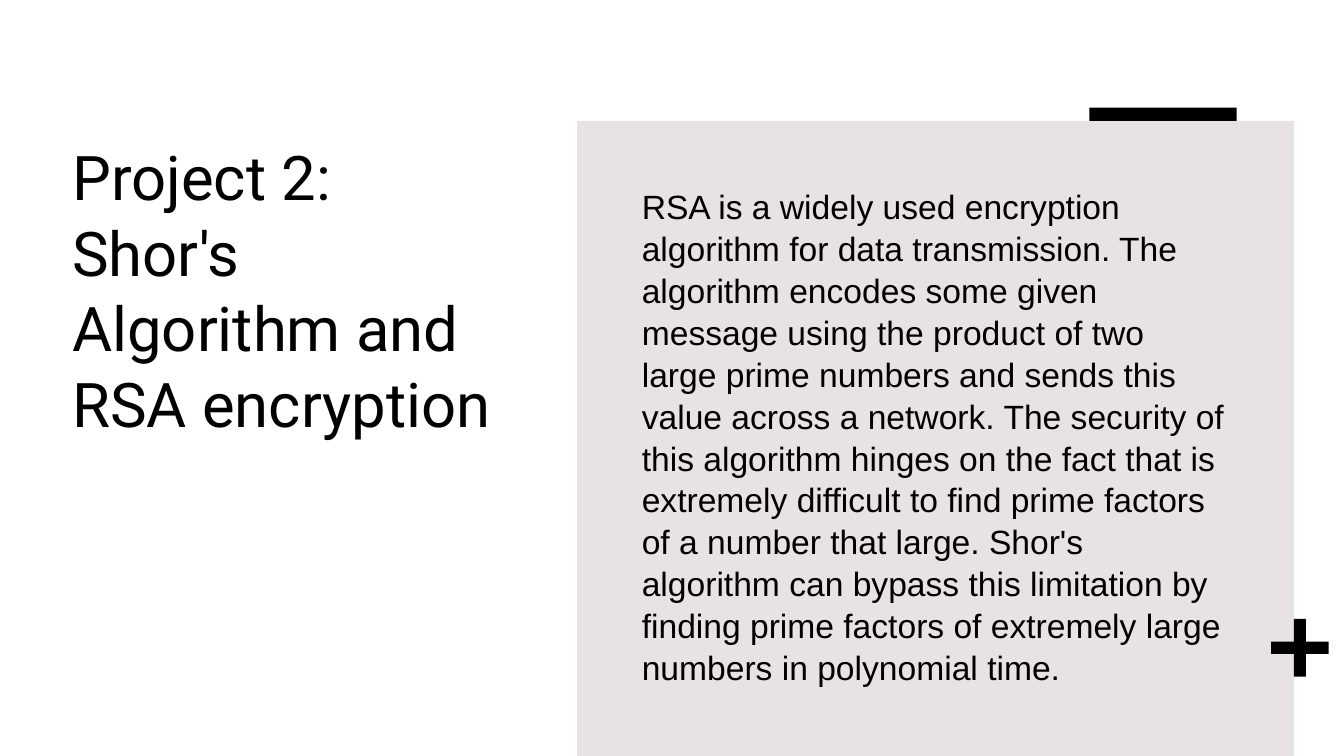
from pptx import Presentation
from pptx.dml.color import RGBColor as RGB
from pptx.enum.shapes import MSO_SHAPE as Kind
from pptx.enum.text import MSO_ANCHOR as Anchor, PP_ALIGN as Align
from pptx.util import Pt

HUES = {"paper": "FFFFFF", "panel": "E8E2E5", "ink": "000000"}
TITLE = "Project 2: Shor's Algorithm and RSA encryption"
BODY = (
    "RSA is a widely used encryption algorithm for data transmission. "
    "The algorithm encodes some given message using the product of two "
    "large prime numbers and sends this value across a network. "
    "The security of this algorithm hinges on the fact that is extremely "
    "difficult to find prime factors of a number that large. "
    "Shor's algorithm can bypass this limitation by finding prime factors "
    "of extremely large numbers in polynomial time."
)


class Page:
    """Hold the colours and the current slide, and draw its elements."""

    def __init__(self, deck, hues):
        self.hues = hues
        self.slide = deck.slides.add_slide(deck.slide_layouts[6])
        self.paint(self.slide.background.fill, "paper")

    def paint(self, fill, hue):
        fill.solid()
        fill.fore_color.rgb = RGB.from_string(self.hues[hue])

    def shape(self, kind, box, hue, bend=None):
        item = self.slide.shapes.add_shape(kind, *map(Pt, box))
        item.shadow.inherit = False
        item.line.fill.background()
        self.paint(item.fill, hue)
        if bend is not None:
            item.adjustments[0] = bend

    def text(self, words, box, font, lines):
        frame = self.slide.shapes.add_textbox(*map(Pt, box)).text_frame
        form = {"word_wrap": True, "vertical_anchor": Anchor.TOP}
        for key, value in form.items():
            setattr(frame, key, value)
        para = frame.paragraphs[0]
        for key, value in lines.items():
            setattr(para, key, value)
        run = para.add_run()
        run.text = words
        for key, value in font.items():
            setattr(run.font, key, value)
        run.font.color.rgb = RGB.from_string(self.hues["ink"])


def main():
    deck = Presentation()
    deck.slide_width, deck.slide_height = Pt(960), Pt(540)
    page = Page(deck, HUES)
    page.shape(Kind.RECTANGLE, (412.3, 86.4, 511.9, 453.6), "panel")
    page.shape(Kind.CROSS, (907.9, 442.1, 41.2, 41.2), "ink", 0.395)
    page.shape(Kind.RECTANGLE, (778.2, 76.8, 105.2, 9.6), "ink")
    page.text(TITLE, (44.6, 95, 324, 368),
              {"name": "Roboto", "size": Pt(44)},
              {"alignment": Align.LEFT, "line_spacing": 1.02})
    page.text(BODY, (451.4, 128.2, 432, 369.4),
              {"name": "Arial", "size": Pt(24)},
              {"alignment": Align.LEFT, "line_spacing": 1.04,
               "space_before": Pt(6)})
    deck.save("out.pptx")


if __name__ == "__main__":
    main()
